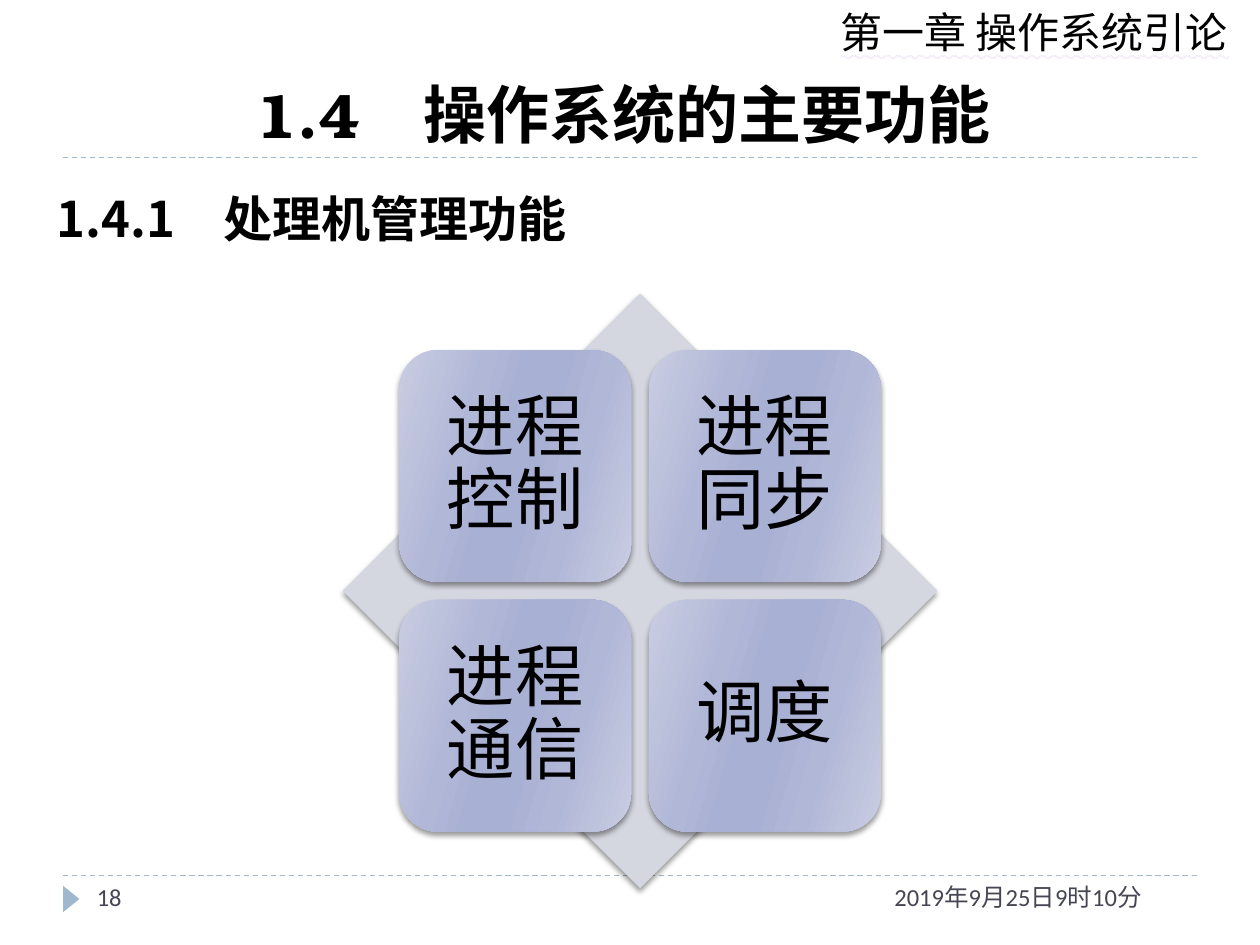
from itertools import product
from pptx import Presentation
from pptx.dml.color import RGBColor
from pptx.enum.dml import MSO_LINE
from pptx.enum.shapes import MSO_CONNECTOR, MSO_SHAPE
from pptx.enum.text import MSO_ANCHOR, MSO_UNDERLINE, PP_ALIGN
from pptx.oxml import parse_xml
from pptx.oxml.ns import nsdecls, qn
from pptx.util import Inches, Pt

COLORS = {
    "ink": "000000", "footer": "464653", "accent": "9FB8CD", "diamond": "D5D7E0",
    "edge": "C9CDE2", "middle": "B1B7D7", "core": "A8B0D3", "wave": "CDB5E3",
}
GRADIENT = [(0, "edge"), (30, "middle"), (45, "core"),
            (55, "core"), (73, "middle"), (100, "edge")]
TILES = ["进程控制", "进程同步", "进程通信", "调度"]
TILE_OFFSETS = (0.095, 0.515)
TILE_SHARE = 0.39


def color(name):
    return RGBColor.from_string(COLORS[name])


def inches(box):
    return [Inches(length) for length in box]


def style(paragraph, size, ink="ink", name="Calibri", bold=False):
    font = paragraph.font
    font.size, font.name, font.bold = Pt(size), name, bold
    font.color.rgb = color(ink)


def add_text(slide, box, text, size, wrap=True, **look):
    frame = slide.shapes.add_textbox(*inches(box)).text_frame
    frame.word_wrap = wrap
    paragraph = frame.paragraphs[0]
    paragraph.text = text
    style(paragraph, size, **look)
    return paragraph


def add_rule(slide, left, right, y):
    rule = slide.shapes.add_connector(MSO_CONNECTOR.STRAIGHT, *inches((left, y, right, y)))
    rule.line.color.rgb = color("accent")
    rule.line.width = Pt(0.75)
    rule.line.dash_style = MSO_LINE.DASH
    rule._element.spPr.append(parse_xml(f'<a:effectLst {nsdecls("a")}/>'))


def add_panel(slide, preset, box, fill):
    panel = slide.shapes.add_shape(preset, *inches(box))
    panel.shadow.inherit = False
    panel.fill.solid()
    panel.fill.fore_color.rgb = color(fill)
    panel.line.fill.background()
    return panel


def cast_shadow(panel):
    panel._element.spPr.find(qn("a:effectLst")).append(parse_xml(
        f'<a:outerShdw {nsdecls("a")} blurRad="{Pt(3)}" dist="{Pt(2)}" dir="5400000" '
        'rotWithShape="0"><a:srgbClr val="000000"><a:alpha val="40000"/></a:srgbClr>'
        '</a:outerShdw>'))


def shade(panel):
    stops = "".join(f'<a:gs pos="{share * 1000}"><a:srgbClr val="{COLORS[name]}"/></a:gs>'
                    for share, name in GRADIENT)
    solid = panel._element.spPr.find(qn("a:solidFill"))
    solid.getparent().replace(solid, parse_xml(
        f'<a:gradFill {nsdecls("a")} rotWithShape="1"><a:gsLst>{stops}</a:gsLst>'
        f'<a:lin ang="{16 * 60000}" scaled="0"/></a:gradFill>'))


def add_header(slide, box):
    left, top, width, height = box
    chapter = add_text(slide, (left + width - 3.4, top, 3.4, 0.5),
                       "第一章 操作系统引论", 24, wrap=False)
    chapter.font.underline = MSO_UNDERLINE.WAVY_DOUBLE_LINE
    chapter._p.pPr.find(qn("a:defRPr")).find(qn("a:solidFill")).addnext(parse_xml(
        f'<a:uFill {nsdecls("a")}><a:solidFill><a:srgbClr val="{COLORS["wave"]}"/>'
        '</a:solidFill></a:uFill>'))
    title = slide.shapes.title
    title.left, title.top, title.width, title.height = inches((0.5, top + 0.52, 9, 0.73))
    title.text_frame.vertical_anchor = MSO_ANCHOR.BOTTOM
    heading = title.text_frame.paragraphs[0]
    heading.alignment = PP_ALIGN.CENTER
    style(heading, 36, name="Noto Sans CJK SC", bold=True)
    for part, face in (("1.4", "TeX Gyre Bonum"),
                       ("\u3000操作系统的主要功能 ".replace("\u3000", "　"), "Noto Sans CJK SC")):
        run = heading.add_run()
        run.text, run.font.name = part, face
    add_rule(slide, 0.5, 9.5, top + height)


def add_section(slide, box):
    section = add_text(slide, box, "1.4.1　处理机管理功能", 28,
                       name="Noto Sans CJK SC", bold=True)
    section.alignment = PP_ALIGN.JUSTIFY
    section.line_spacing = 1.3


def add_matrix(slide, box):
    left, top, side, _ = box
    cast_shadow(add_panel(slide, MSO_SHAPE.DIAMOND, box, "diamond"))
    for (down, across), label in zip(product(TILE_OFFSETS, repeat=2), TILES):
        tile = add_panel(slide, MSO_SHAPE.ROUNDED_RECTANGLE,
                         (left + across * side, top + down * side,
                          TILE_SHARE * side, TILE_SHARE * side), "core")
        shade(tile)
        cast_shadow(tile)
        frame = tile.text_frame
        frame.word_wrap = True
        frame.vertical_anchor = MSO_ANCHOR.MIDDLE
        frame.margin_left = frame.margin_right = Inches(0.16)
        frame.margin_top = frame.margin_bottom = Inches(0.16)
        paragraph = frame.paragraphs[0]
        paragraph.text = label
        paragraph.alignment = PP_ALIGN.CENTER
        paragraph.line_spacing = 0.9
        style(paragraph, 39)


def add_footer(slide, box):
    left, top, width, _ = box
    add_rule(slide, left, left + width, top)
    marker = add_panel(slide, MSO_SHAPE.ISOSCELES_TRIANGLE,
                       (left - 0.04, top + 0.12, 0.21, 0.13), "accent")
    marker.rotation = 90
    add_text(slide, (left + width - 2.5, top, 2.5, 0.4),
             "2019年9月25日9时10分", 14, ink="footer")
    add_text(slide, (left + 0.17, top, 2.17, 0.4), "18", 14, ink="footer")


def main():
    deck = Presentation()
    deck.slide_width, deck.slide_height = Inches(10), Inches(7.5)
    slide = deck.slides.add_slide(deck.slide_layouts[5])
    add_header(slide, (0, 0, 9.97, 1.25))
    add_footer(slide, (0.5, 6.95, 9, 0.4))
    add_section(slide, (0.35, 1.31, 9.31, 0.8))
    add_matrix(slide, (2.72, 2.33, 4.72, 4.72))
    deck.save("out.pptx")


if __name__ == "__main__":
    main()
